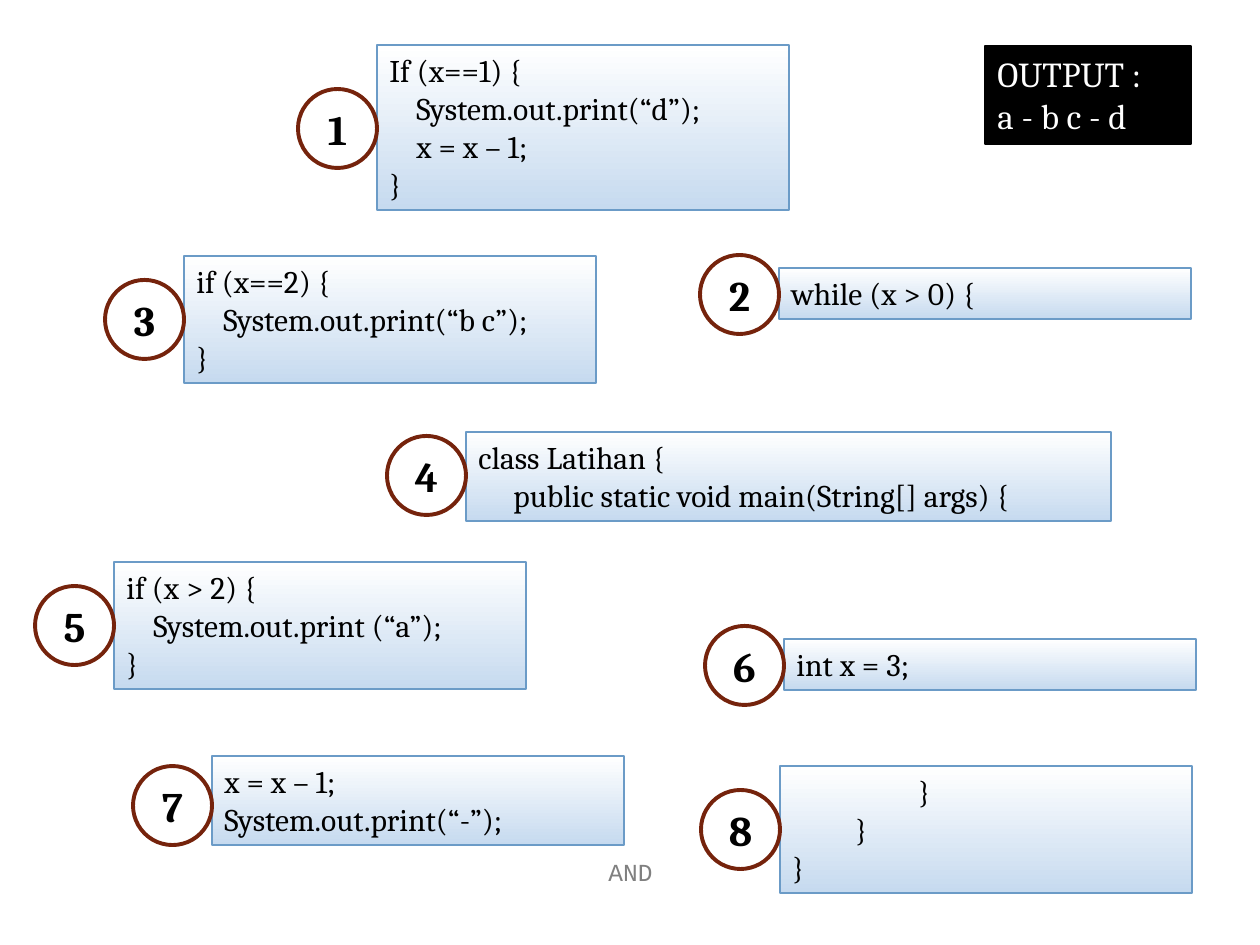
from pptx import Presentation
from pptx.dml.color import RGBColor
from pptx.enum.shapes import MSO_SHAPE
from pptx.enum.text import MSO_ANCHOR, MSO_AUTO_SIZE, PP_ALIGN
from pptx.util import Emu, Pt

PX = 914400 / 126
BLACK = RGBColor(0x00, 0x00, 0x00)
WHITE = RGBColor(0xFF, 0xFF, 0xFF)
GREY = RGBColor(0x80, 0x80, 0x80)
PALE_BLUE = RGBColor(0xC6, 0xDA, 0xEF)
EDGE_BLUE = RGBColor(0x6B, 0x9B, 0xC7)
BROWN = RGBColor(0x75, 0x23, 0x0C)

CODE_WIDTH = 412
LINE_HEIGHT = 38
CODE_PADDING = 13
BADGE_SIZE = 79

# number, left, top, badge top, width, lines as (indent, text)
SNIPPETS = [
    (1, 377, 45, 89, CODE_WIDTH, [
        (0, "If (x==1) {"), (27, "System.out.print(“d”);"),
        (27, "x = x – 1;"), (0, "}")]),
    (3, 184, 256, 280, CODE_WIDTH, [
        (0, "if (x==2) {"), (27, "System.out.print(“b c”);"), (0, "}")]),
    (4, 466, 432, 436, 645, [
        (0, "class Latihan {"),
        (35, "public static void main(String[] args) {")]),
    (5, 114, 562, 586, CODE_WIDTH, [
        (0, "if (x > 2) {"), (27, "System.out.print (“a”);"), (0, "}")]),
    (6, 784, 639, 626, CODE_WIDTH, [(0, "int x = 3;")]),
    (7, 212, 756, 766, CODE_WIDTH, [
        (0, "x = x – 1;"), (0, "System.out.print(“-”);")]),
    (2, 779, 268, 255, CODE_WIDTH, [(0, "while (x > 0) {")]),
    (8, 780, 766, 790, CODE_WIDTH, [(126, "}"), (63, "}"), (0, "}")]),
]


def px(*lengths):
    """Turn pixel lengths into a list of EMU."""
    return [Emu(round(length * PX)) for length in lengths]


def write(box, lines, size=18, font="Cambria", color=BLACK, bold=False,
          align=PP_ALIGN.LEFT, anchor=MSO_ANCHOR.TOP, grow=False):
    """Fill a box with (indent, text) lines in one format."""
    frame = box.text_frame
    frame.word_wrap = True
    frame.vertical_anchor = anchor
    if grow:
        frame.auto_size = MSO_AUTO_SIZE.SHAPE_TO_FIT_TEXT
    for index, (indent, text) in enumerate(lines):
        para = frame.add_paragraph() if index else frame.paragraphs[0]
        para.alignment = align
        if indent:
            para._p.get_or_add_pPr().set("marL", str(px(indent)[0]))
        span = para.add_run()
        span.text = text
        span.font.size = Pt(size)
        span.font.name = font
        span.font.bold = bold
        span.font.color.rgb = color


def add_box(page, kind, bounds, line, weight, fill=None):
    """Add an outlined shape, with a white to blue gradient if no fill is given."""
    box = page.shapes.add_shape(kind, *px(*bounds))
    box.shadow.inherit = False
    box.line.color.rgb = line
    box.line.width = Pt(weight)
    if fill is not None:
        box.fill.solid()
        box.fill.fore_color.rgb = fill
    else:
        box.fill.gradient()
        box.fill.gradient_angle = 270
        for stop, color in zip(box.fill.gradient_stops, (WHITE, PALE_BLUE)):
            stop.color.rgb = color
    return box


def add_snippet(page, number, left, top, badge_top, width, lines):
    """Add a code box with its numbered badge on the left."""
    height = CODE_PADDING + LINE_HEIGHT * len(lines)
    code = add_box(page, MSO_SHAPE.RECTANGLE, (left, top, width, height),
                   EDGE_BLUE, 0.75)
    write(code, lines, grow=True)
    badge = add_box(page, MSO_SHAPE.OVAL,
                    (left - BADGE_SIZE, badge_top, BADGE_SIZE, BADGE_SIZE),
                    BROWN, 2.25, fill=WHITE)
    write(badge, [(0, str(number))], size=24, bold=True,
          align=PP_ALIGN.CENTER, anchor=MSO_ANCHOR.MIDDLE)


def main():
    """Build the slide and save it."""
    deck = Presentation()
    deck.slide_width, deck.slide_height = px(1260, 945)
    page = deck.slides.add_slide(deck.slide_layouts[6])
    footer = page.shapes.add_textbox(*px(431, 847, 399, 50))
    write(footer, [(0, "AND")], size=14, font="Courier New", color=GREY,
          align=PP_ALIGN.CENTER, anchor=MSO_ANCHOR.MIDDLE)
    for snippet in SNIPPETS:
        add_snippet(page, *snippet)
    output = add_box(page, MSO_SHAPE.RECTANGLE, (985, 46, 206, 98),
                     BLACK, 1.5, fill=BLACK)
    write(output, [(0, "OUTPUT :"), (0, "a - b c - d")], size=20, color=WHITE,
          grow=True)
    deck.save("out.pptx")


if __name__ == "__main__":
    main()
